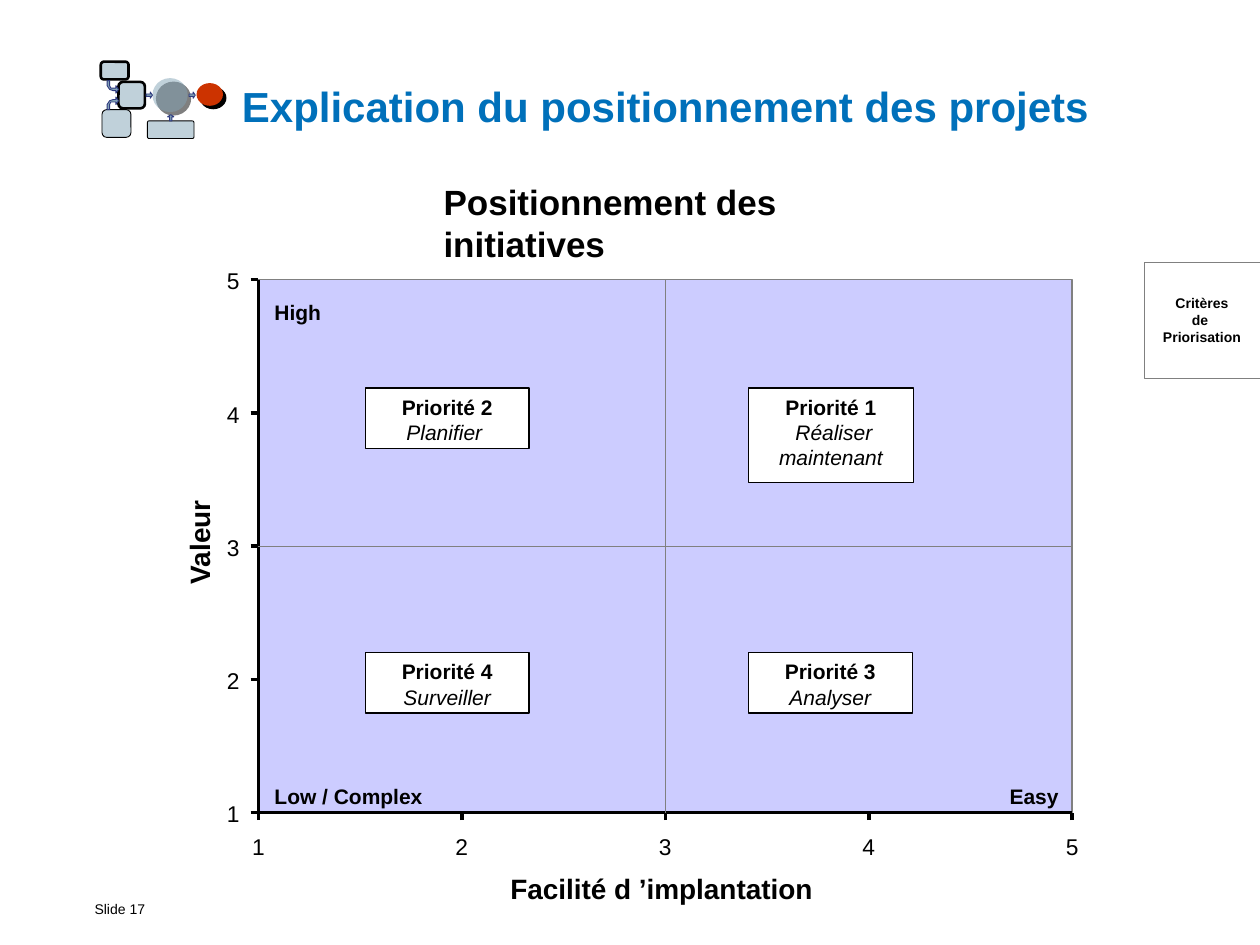
from lxml import etree
from pptx import Presentation
from pptx.dml.color import RGBColor
from pptx.enum.shapes import MSO_CONNECTOR, MSO_SHAPE
from pptx.enum.text import MSO_ANCHOR, PP_ALIGN
from pptx.oxml.ns import qn
from pptx.util import Inches, Pt

RECT, ROUND, OVAL = MSO_SHAPE.RECTANGLE, MSO_SHAPE.ROUNDED_RECTANGLE, MSO_SHAPE.OVAL
ARROW, BUTTON = MSO_SHAPE.DOWN_ARROW, MSO_SHAPE.ACTION_BUTTON_CUSTOM
LINE = MSO_CONNECTOR.STRAIGHT
LEFT, CENTER, RIGHT = PP_ALIGN.LEFT, PP_ALIGN.CENTER, PP_ALIGN.RIGHT
TOP, MIDDLE = MSO_ANCHOR.TOP, MSO_ANCHOR.MIDDLE

BLACK, WHITE = RGBColor(0, 0, 0), RGBColor(255, 255, 255)
BLUE, NAVY = RGBColor(0x00, 0x70, 0xBA), RGBColor(0x2F, 0x3A, 0x7F)
STEEL, RED = RGBColor(0x83, 0xA4, 0xB6), RGBColor(0xCC, 0x33, 0x00)
LILAC, GREY = RGBColor(0xCC, 0xCC, 0xFF), RGBColor(0x80, 0x80, 0x80)
FONT = "Arial"

# Grid of 100 columns by 75 rows; every length below is in its cells
W, H = Inches(10), Inches(7.5)
COL, ROW = W / 100, H / 75


def place(x, y, w, h):
    return round(x * COL), round(y * ROW), round(w * COL), round(h * ROW)


def add_run(p, text, size, color=BLACK, bold=False, italic=False):
    r = p.add_run()
    r.text = text
    r.font.name, r.font.size = FONT, Pt(size)
    r.font.bold, r.font.italic = bold, italic
    r.font.color.rgb = color


def add_text(s, box, text, size, color=BLACK, bold=False, wrap=True,
             align=LEFT, anchor=TOP, inset=0):
    sp = s.shapes.add_textbox(*place(*box))
    tf = sp.text_frame
    tf.word_wrap, tf.vertical_anchor = wrap, anchor
    tf.margin_left = tf.margin_right = round(inset * COL)
    tf.margin_top = tf.margin_bottom = round(inset * ROW / 2)
    p = tf.paragraphs[0]
    p.alignment = align
    add_run(p, text, size, color, bold)
    return sp


def paint(sp, fill=None, line=None, width=0.5, alpha=None, shadow=False):
    sp.shadow.inherit = False
    if fill is None:
        sp.fill.background()
    else:
        sp.fill.solid()
        sp.fill.fore_color.rgb = fill
    if line is None:
        sp.line.fill.background()
    else:
        sp.line.color.rgb, sp.line.width = line, Pt(width)
    spPr = sp._element.spPr
    if alpha:
        clr = spPr.find(qn("a:solidFill")).find(qn("a:srgbClr"))
        etree.SubElement(clr, qn("a:alpha"), val=str(alpha * 1000))
    if shadow:
        cast = etree.SubElement(spPr.find(qn("a:effectLst")), qn("a:outerShdw"),
                                dist=str(Pt(2.8)), dir="2700000", algn="ctr")
        etree.SubElement(cast, qn("a:srgbClr"), val=str(BLACK))
    return sp


def add_shape(s, kind, box, adj=(), **style):
    sp = s.shapes.add_shape(kind, *place(*box))
    for i, value in enumerate(adj):
        sp.adjustments[i] = value
    return paint(sp, **style)


def add_line(s, x1, y1, x2, y2, color=BLACK, width=0):
    cx = s.shapes.add_connector(LINE, *place(x1, y1, x2, y2))
    cx.line.color.rgb, cx.line.width = color, Pt(width)
    etree.SubElement(cx._element.spPr, qn("a:effectLst"))
    return cx


def flow_icon(s, x, y):
    """Small process diagram with its top left corner at x, y."""
    def part(kind, dx, dy, w, h, adj=(), **style):
        return add_shape(s, kind, (x + dx, y + dy, w, h), adj, **style)

    # Boxes and discs
    part(ROUND, 0, 0, 2.2, 1.4, [0.17], fill=STEEL, alpha=50, line=BLACK, width=1.5)
    part(ROUND, 3.7, 4.7, 3.7, 1.4, [0.1], fill=STEEL, alpha=50, line=BLACK)
    part(OVAL, 4.1, 1.3, 2.8, 2.7, fill=STEEL, alpha=50, shadow=True)
    part(ROUND, 1.4, 1.6, 2.1, 2.1, [0.17], fill=STEEL, alpha=50, line=BLACK, width=1.5)
    part(OVAL, 7.6, 1.7, 2.1, 1.8, fill=RED, shadow=True)
    part(ROUND, 0.1, 3.8, 2.3, 2.2, [0.17], fill=STEEL, alpha=50, line=BLACK)

    # Straight arrows
    for dx, dy, turn in ((7, 2.4, 270), (3.6, 2.4, 270), (5.3, 4.2, 180)):
        arrow = part(ARROW, dx, dy, 0.5, 0.5, [0.38, 0.34], fill=STEEL, line=NAVY)
        arrow.rotation = turn

    # Bent arrows, one the mirror of the other
    bend = [(0.9, 0), (0.7, -0.3), (0.7, -0.1), (0.5, -0.1), (0.2, 0), (0, 0.3),
            (0, 0.7), (0.2, 0.7), (0.2, 0.3), (0.3, 0.1), (0.5, 0.1),
            (0.7, 0.1), (0.7, 0.3)]
    for tip, sign in ((3.1, 1), (2.2, -1)):
        pts = [(round((x + 0.5 + px) * COL), round((y + tip + sign * py) * ROW))
               for px, py in bend]
        fb = s.shapes.build_freeform(*pts[0])
        fb.add_line_segments(pts[1:], close=True)
        paint(fb.convert_to_shape(), fill=STEEL, line=NAVY)


def priority_box(s, box, rank, action):
    sp = add_shape(s, RECT, box, fill=WHITE, line=BLACK, width=0.75)
    tf = sp.text_frame
    tf.word_wrap, tf.vertical_anchor = True, TOP
    p = tf.paragraphs[0]
    p.alignment = CENTER
    add_run(p, f"Priorité {rank}", 12, bold=True)
    p.add_line_break()
    add_run(p, action, 12, italic=True)


def priority_matrix(s, x, y, w, h):
    """Value against ease of rollout; the box is the plot area."""
    add_shape(s, RECT, (x - 7.8, y - 10, 74.4, 61.5), fill=WHITE)
    plot = add_shape(s, RECT, (x, y, w, h), fill=LILAC)
    add_shape(s, RECT, (x, y, w, h), line=GREY, width=0.88)

    # Axes, ticks and scale labels
    bottom = y + h
    add_line(s, x, y, x, bottom)
    add_line(s, x, bottom, x + w, bottom)
    for i in range(5):
        tx, ty = x + w * i / 4, bottom - h * i / 4
        add_line(s, x - 0.6, ty, x, ty)
        add_line(s, tx, bottom + 0.6, tx, bottom)
        add_text(s, (x - 2.5, ty - 1, 1.8, 2.6), str(i + 1), 13)
        add_text(s, (tx - 0.5, bottom + 1.6, 1.8, 2.6), str(i + 1), 13)

    # Titles
    add_text(s, (x + 14.7, y - 7.9, 39.5, 6.6), "Positionnement des initiatives",
             20, bold=True)
    add_text(s, (x + 20, bottom + 4.7, 24.1, 2.7), "Facilité d\u00a0’implantation".replace("\u00a0", " "),
             16, bold=True, wrap=False)
    add_text(s, (x - 8.1, y + 19.4, 6.8, 2.7), "Valeur", 16, bold=True,
             wrap=False).rotation = 270

    # Middle lines, joined to the sides of the plot
    for start, end in ((1, 3), (2, 0)):
        cx = add_line(s, x, y, x, y, GREY, 0.25)
        cx.begin_connect(plot, start)
        cx.end_connect(plot, end)

    # Quadrants
    left, right, high, low = x + 8.5, x + 38.9, y + 8.6, y + 29.6
    priority_box(s, (right, high, 13.1, 7.5), 1, " Réaliser maintenant")
    priority_box(s, (left, high, 13, 4.8), 2, "Planifier ")
    priority_box(s, (right, low, 13, 4.8), 3, "Analyser")
    priority_box(s, (left, low, 13, 4.8), 4, "Surveiller")

    # Corner labels
    for dx, dy, text, align in ((0.3, h - 2.8, "Low / Complex", LEFT),
                                (0.3, 1.1, "High", LEFT),
                                (w - 14.3, h - 2.8, "Easy", RIGHT)):
        add_text(s, (x + dx, y + dy, 14.2, 3), text, 12, bold=True,
                 align=align, inset=1)


def criteria_button(s, box):
    sp = add_shape(s, BUTTON, box, fill=WHITE, line=GREY, width=0.25)
    tf = sp.text_frame
    tf.word_wrap, tf.vertical_anchor = False, MIDDLE
    for i, text in enumerate(("Critères", "de ", "Priorisation")):
        p = tf.add_paragraph() if i else tf.paragraphs[0]
        p.alignment = CENTER
        add_run(p, text, 8, bold=True)


def main():
    prs = Presentation()
    prs.slide_width, prs.slide_height = W, H
    s = prs.slides.add_slide(prs.slide_layouts[6])
    footer = add_text(s, (7.5, 7.17 * 10, 5.2, 2.1), "Slide 17", 8, wrap=False)
    footer.text_frame.paragraphs[0].line_spacing = 0.85
    add_text(s, (19.2, 5.2, 74.2, 6.4), "Explication du positionnement des projets",
             24, BLUE, bold=True, anchor=MIDDLE)
    flow_icon(s, 8, 4.9)
    priority_matrix(s, 20.5, 22.2, 64.6, 42.3)
    criteria_button(s, (90.8, 20.8, 9.2, 9.2))
    prs.save("out.pptx")


if __name__ == "__main__":
    main()
